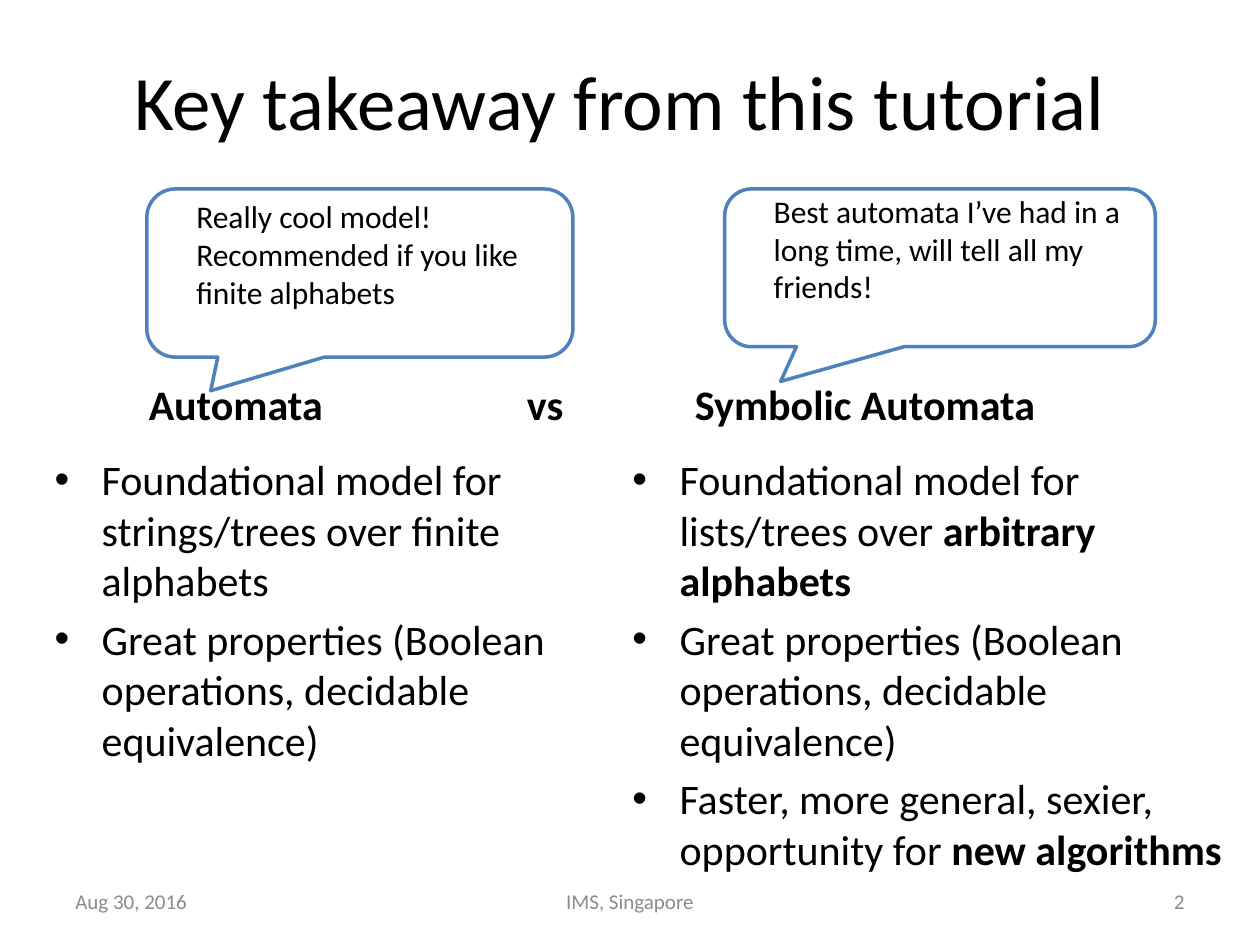
from dataclasses import dataclass

from lxml import etree
from pptx import Presentation
from pptx import util as u
from pptx.dml import color as c
from pptx.enum import shapes, text
from pptx.oxml import ns

ALIGN = text.PP_ALIGN
ANCHOR = text.MSO_ANCHOR


@dataclass(frozen=True)
class Theme:
    font: str = "Calibri"
    ink: str = "000000"
    grey: str = "8C8C8C"
    blue: str = "4F81BD"
    white: str = "FFFFFF"
    title: int = 44
    body: int = 24
    quote: int = 18
    foot: int = 12


THEME = Theme()
INDENT = u.Cm(0.95)


def rgb(code):
    return c.RGBColor.from_string(code)


def place(*sides):
    return [u.Cm(side) for side in sides]


def set_all(target, values):
    for name, value in values.items():
        setattr(target, name, value)


def fill_para(para, runs, size, color=THEME.ink, align=ALIGN.LEFT):
    """Write (words, bold) runs into a paragraph."""
    para.alignment = align
    for words, bold in runs:
        run = para.add_run()
        run.text = words
        set_all(run.font, {"name": THEME.font, "size": u.Pt(size), "bold": bold})
        run.font.color.rgb = rgb(color)


def add_box(slide, box, anchor=ANCHOR.TOP):
    frame = slide.shapes.add_textbox(*place(*box)).text_frame
    set_all(frame, {"word_wrap": True, "vertical_anchor": anchor})
    return frame


def add_line(slide, words, box, size, anchor=ANCHOR.MIDDLE, bold=False, **look):
    frame = add_box(slide, box, anchor)
    fill_para(frame.paragraphs[0], [(words, bold)], size, **look)


def add_list(slide, items, box):
    frame = add_box(slide, box)
    for i, runs in enumerate(items):
        para = frame.add_paragraph() if i else frame.paragraphs[0]
        para.space_before = u.Pt(0.2 * THEME.body if i else 0)
        props = para._p.get_or_add_pPr()
        props.set("marL", str(INDENT))
        props.set("indent", str(-INDENT))
        etree.SubElement(props, ns.qn("a:buFont"), typeface="Arial")
        etree.SubElement(props, ns.qn("a:buChar"), char="•")
        fill_para(para, runs, THEME.body)


def add_quote(slide, words, box, tail):
    """Add a speech bubble whose text sits one line above its middle."""
    kind = shapes.MSO_SHAPE.ROUNDED_RECTANGULAR_CALLOUT
    bubble = slide.shapes.add_shape(kind, *place(*box))
    bubble.shadow.inherit = False
    for i, value in enumerate(tail):
        bubble.adjustments[i] = value
    bubble.fill.solid()
    bubble.fill.fore_color.rgb = rgb(THEME.white)
    bubble.line.color.rgb = rgb(THEME.blue)
    bubble.line.width = u.Pt(2)
    frame = bubble.text_frame
    set_all(frame, {
        "word_wrap": True,
        "vertical_anchor": ANCHOR.MIDDLE,
        "margin_left": u.Cm(0.83),
        "margin_bottom": u.Cm(0.9),
    })
    fill_para(frame.paragraphs[0], [(words, False)], THEME.quote)


def main():
    deck = Presentation()
    set_all(deck, {"slide_width": u.Cm(25.4), "slide_height": u.Cm(19.05)})
    slide = deck.slides.add_slide(deck.slide_layouts[6])

    add_line(slide, "Key takeaway from this tutorial", (0.43, 0.43, 24.13, 3.18),
             THEME.title, align=ALIGN.CENTER)

    heads = [("Automata", 2.75, 4.87), ("vs", 10.37, 1.27),
             ("Symbolic Automata", 13.76, 11.23)]
    for words, left, width in heads:
        add_line(slide, words, (left, 6.99, width, 1.78), THEME.body,
                 ANCHOR.BOTTOM, bold=True)

    great = [("Great properties (Boolean operations, decidable equivalence)", False)]
    add_list(slide, [
        [("Foundational model for strings/trees over finite alphabets", False)],
        great,
    ], (0.85, 9.02, 11.23, 8.56))
    add_list(slide, [
        [("Foundational model for lists/trees over ", False),
         ("arbitrary alphabets", True)],
        great,
        [("Faster, more general, sexier, opportunity for ", False),
         ("new algorithms", True)],
    ], (12.5, 9.02, 12.5, 8.76))

    add_quote(slide, "Really cool model! Recommended if you like finite alphabets",
              (2.96, 3.81, 8.59, 3.39), (-0.35, 0.7, 0.17))
    add_quote(slide,
              "Best automata I’ve had in a long time, will tell all my friends!",
              (14.61, 3.81, 8.68, 3.18), (-0.37, 0.72, 0.17))

    feet = [("Aug 30, 2016", 1.27, 5.93, ALIGN.LEFT),
            ("IMS, Singapore", 8.68, 8.04, ALIGN.CENTER),
            ("2", 18.2, 5.93, ALIGN.RIGHT)]
    for words, left, width, align in feet:
        add_line(slide, words, (left, 17.66, width, 1.01), THEME.foot,
                 color=THEME.grey, align=align)

    deck.save("out.pptx")


if __name__ == "__main__":
    main()
